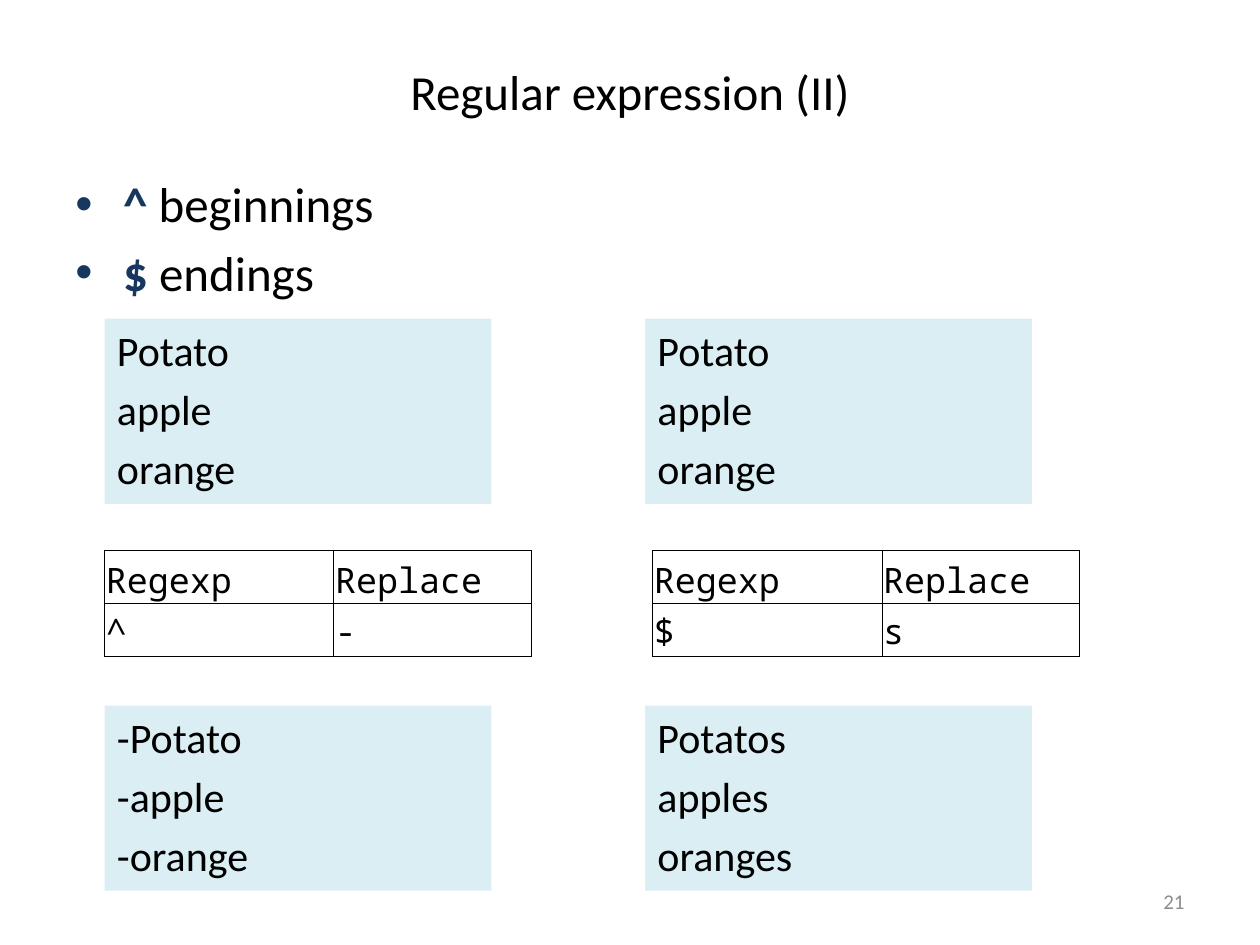
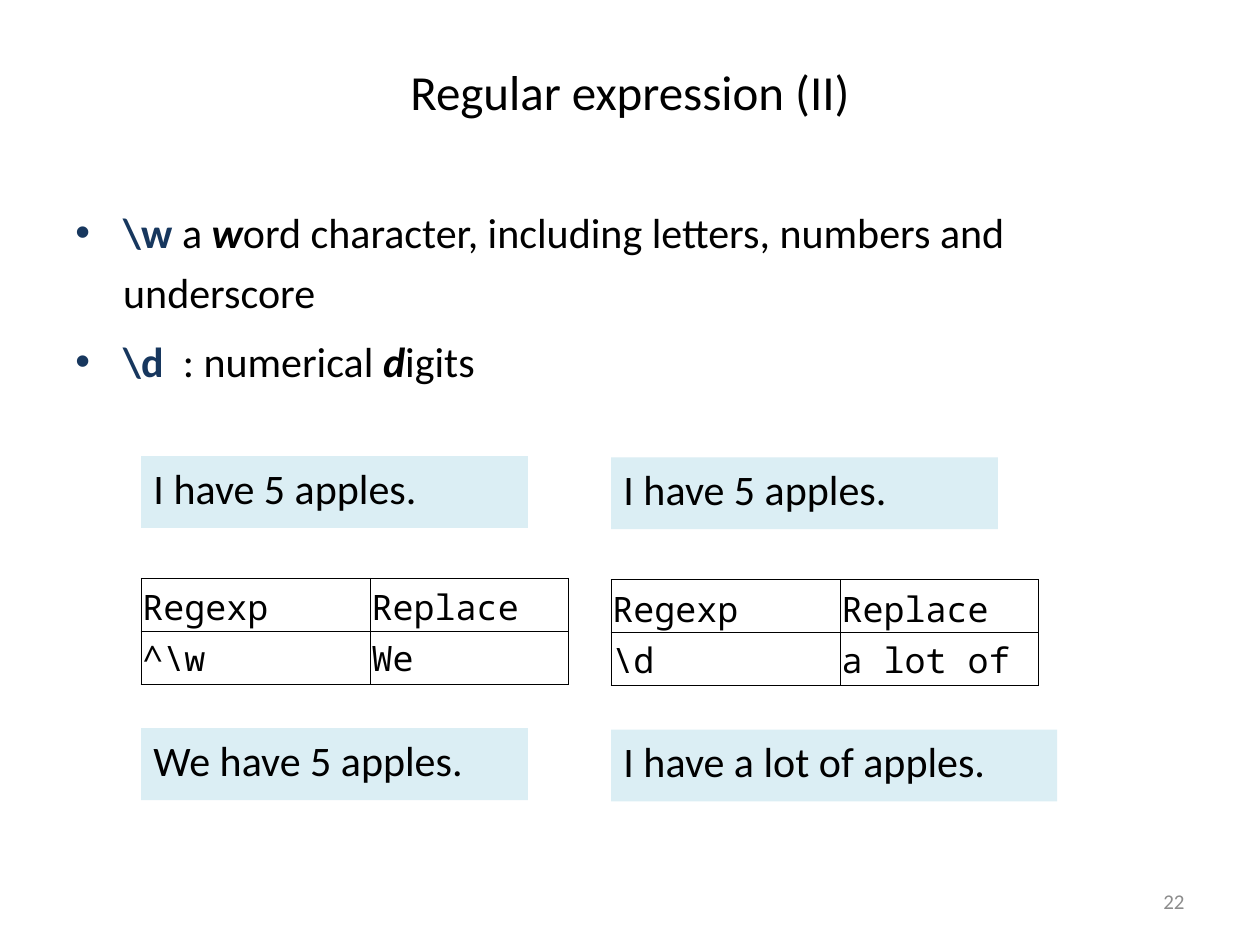
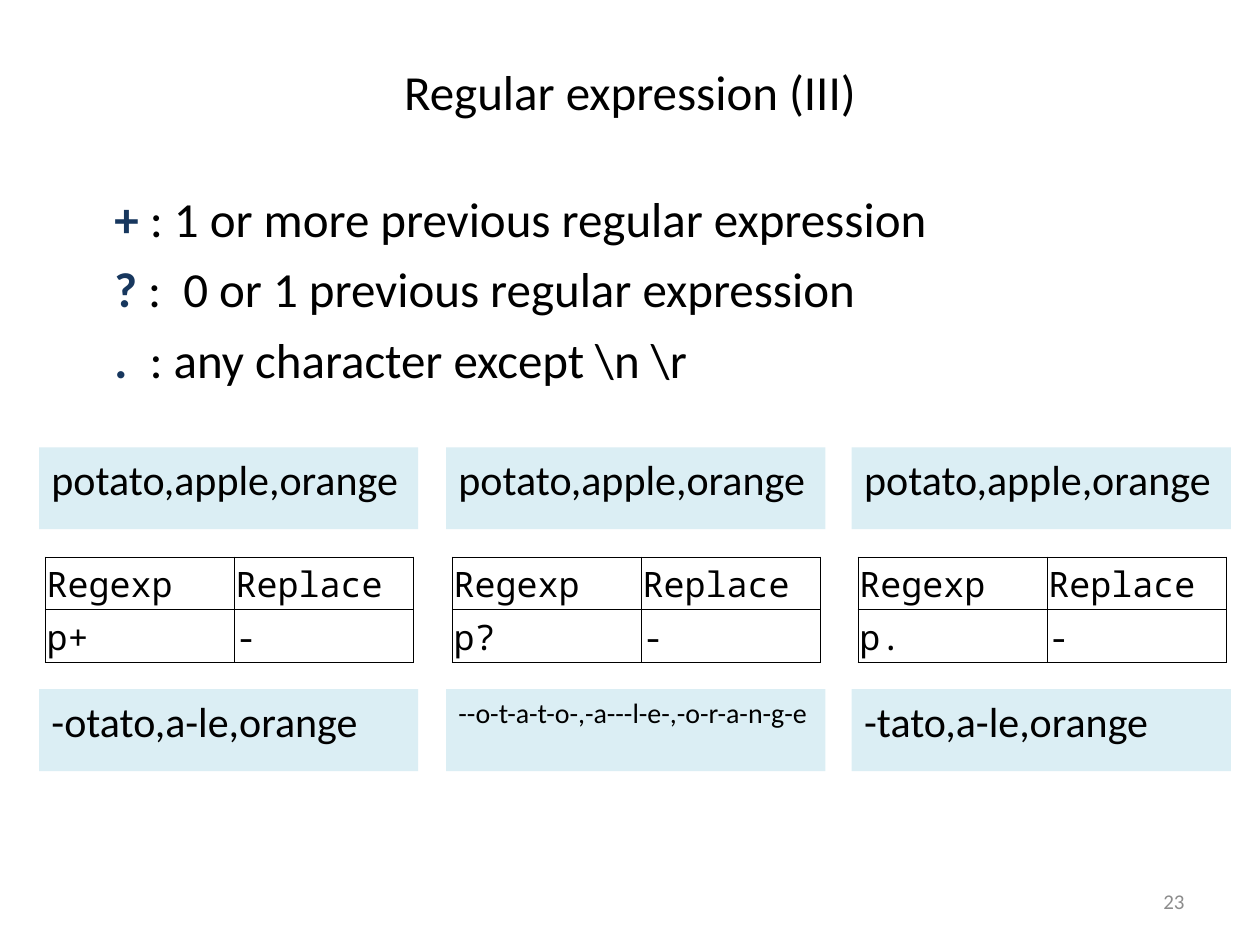
from lxml.etree import SubElement
from pptx import Presentation
from pptx.dml.color import RGBColor
from pptx.enum.shapes import MSO_SHAPE
from pptx.enum.text import MSO_ANCHOR, PP_ALIGN
from pptx.oxml.ns import qn
from pptx.util import Inches, Pt

BLACK = RGBColor(0x00, 0x00, 0x00)
NAVY = RGBColor(0x17, 0x37, 0x5E)
PALE_BLUE = RGBColor(0xDB, 0xEE, 0xF4)
GRAY = RGBColor(0x8C, 0x8C, 0x8C)
TEXT_FONT = "Calibri"
CODE_FONT = "Noto Sans Mono"

SYMBOL = {"color": NAVY, "bold": True}
STRESS = {"bold": True, "italic": True}
HEADINGS = ("Regexp", "Replace")
ROW_HEIGHT = 0.42
FIRST_NUMBER = 21

FRUITS = ["Potato", "apple", "orange"]
FRUIT_LINE = ["potato,apple,orange"]
APPLES = ["I have 5 apples."]

PAGES = [
    {
        "title": "Regular expression (II)",
        "rules": [
            [("^", SYMBOL), (" beginnings", {})],
            [("$", SYMBOL), (" endings", {})],
        ],
        "rules_at": (0.5, 1.33, 9, 1.22),
        "rules_format": {"size": 28, "before": 20, "bullet": True},
        "tops": (2.53, 4.37, 5.6),
        "box_size": (3.07, 1.47),
        "columns": (1.82, 1.57),
        "heading_anchor": MSO_ANCHOR.BOTTOM,
        "examples": [
            {"left": 0.83, "before": FRUITS, "rule": ("^", "-"),
             "after": ["-Potato", "-apple", "-orange"]},
            {"left": 5.12, "table_shift": 0.06, "before": FRUITS, "rule": ("$", "s"),
             "after": ["Potatos", "apples", "oranges"]},
        ],
    },
    {
        "title": "Regular expression (II)",
        "rules": [
            [("\\w ", SYMBOL), ("a ", {}), ("w", STRESS),
             ("ord character, including letters, numbers and underscore", {})],
            [("\\d", SYMBOL), ("  : numerical ", {}), ("d", STRESS), ("igits", {})],
        ],
        "rules_at": (0.5, 1.51, 9, 2.11),
        "rules_format": {"size": 24, "before": 20, "bullet": True, "line_spacing": 1.2},
        "tops": (3.62, 4.59, 5.78),
        "box_size": (3.07, 0.57),
        "columns": (1.82, 1.57),
        "heading_anchor": MSO_ANCHOR.BOTTOM,
        "examples": [
            {"left": 1.12, "before": APPLES, "rule": ("^\\w", "We"),
             "after": ["We have 5 apples."]},
            {"left": 4.85, "drop": 0.01, "before": APPLES, "rule": ("\\d", "a lot of"),
             "after": ["I have a lot of apples."], "after_width": 3.54},
        ],
    },
    {
        "title": "Regular expression (III)",
        "rules": [
            [("+ ", SYMBOL), (": 1 or more previous regular expression", {})],
            [("?", SYMBOL), (" :  0 or 1 previous regular expression", {})],
            [(".", SYMBOL), ("  : any character except \\n \\r", {})],
        ],
        "rules_at": (0.81, 1.35, 8.44, 1.78),
        "rules_format": {"size": 28, "line_spacing": 1.2},
        "tops": (3.55, 4.42, 5.47),
        "box_size": (3.01, 0.65),
        "columns": (1.5, 1.42),
        "heading_anchor": MSO_ANCHOR.MIDDLE,
        "examples": [
            {"left": 0.31, "table_shift": 0.05, "before": FRUIT_LINE,
             "rule": ("p+", "-"), "after": ["-otato,a-le,orange"]},
            {"left": 3.54, "table_shift": 0.05, "before": FRUIT_LINE,
             "rule": ("p?", "-"), "after": ["--o-t-a-t-o-,-a---l-e-,-o-r-a-n-g-e"],
             "after_size": 16},
            {"left": 6.76, "table_shift": 0.05, "before": FRUIT_LINE,
             "rule": ("p.", "-"), "after": ["-tato,a-le,orange"]},
        ],
    },
]


def write(frame, lines, size=24, font=TEXT_FONT, color=BLACK, align=PP_ALIGN.LEFT,
          anchor=MSO_ANCHOR.TOP, before=0, line_spacing=None, bullet=False):
    frame.word_wrap = True
    frame.vertical_anchor = anchor
    for index, line in enumerate(lines):
        para = frame.add_paragraph() if index else frame.paragraphs[0]
        para.alignment = align
        if line_spacing:
            para.line_spacing = line_spacing
        properties = para._p.get_or_add_pPr()
        if before:
            spacing = SubElement(properties, qn("a:spcBef"))
            SubElement(spacing, qn("a:spcPct"), val=str(before * 1000))
        if bullet:
            properties.set("marL", str(Inches(0.38)))
            properties.set("indent", str(-Inches(0.38)))
            SubElement(properties, qn("a:buFont"), typeface="Arial")
            SubElement(properties, qn("a:buChar"), char="•")
        for text, style in [(line, {})] if isinstance(line, str) else line:
            span = para.add_run()
            span.text = text
            span.font.name = font
            span.font.size = Pt(size)
            span.font.color.rgb = style.get("color", color)
            span.font.bold = style.get("bold", False)
            span.font.italic = style.get("italic", False)


def add_text(page, place, lines, **text_format):
    box = page.shapes.add_textbox(*map(Inches, place))
    write(box.text_frame, lines, **text_format)


def add_sample(page, place, lines, size=24):
    box = page.shapes.add_shape(MSO_SHAPE.RECTANGLE, *map(Inches, place))
    box.shadow.inherit = False
    box.fill.solid()
    box.fill.fore_color.rgb = PALE_BLUE
    box.line.fill.background()
    write(box.text_frame, lines, size=size, before=20)


def add_borders(cell):
    properties = cell._tc.get_or_add_tcPr()
    for position, side in enumerate(("lnL", "lnR", "lnT", "lnB")):
        line = SubElement(properties, qn("a:" + side), w=str(Pt(0.5)))
        fill = SubElement(line, qn("a:solidFill"))
        SubElement(fill, qn("a:srgbClr"), val=str(BLACK))
        properties.insert(position, line)


def add_rule_table(page, left, top, columns, rule, heading_anchor):
    rows = (HEADINGS, rule)
    place = (left, top, sum(columns), ROW_HEIGHT * len(rows))
    table = page.shapes.add_table(len(rows), len(columns), *map(Inches, place)).table
    table.first_row = table.horz_banding = False
    for column, width in zip(table.columns, columns):
        column.width = Inches(width)
    for row, texts, anchor in zip(table.rows, rows, (heading_anchor, MSO_ANCHOR.MIDDLE)):
        row.height = Inches(ROW_HEIGHT)
        for cell, text in zip(row.cells, texts):
            write(cell.text_frame, [text], size=20, font=CODE_FONT)
            cell.vertical_anchor = anchor
            cell.margin_left = cell.margin_right = cell.margin_top = Inches(0.01)
            cell.margin_bottom = 0
            cell.fill.background()
            add_borders(cell)


def add_example(page, content, example):
    left = example["left"]
    before_top, table_top, after_top = (top + example.get("drop", 0) for top in content["tops"])
    width, height = content["box_size"]
    add_sample(page, (left, before_top, width, height), example["before"])
    add_rule_table(page, left + example.get("table_shift", 0), table_top,
                   content["columns"], example["rule"], content["heading_anchor"])
    add_sample(page, (left, after_top, example.get("after_width", width), height),
               example["after"], size=example.get("after_size", 24))


def add_page(deck, content, number):
    page = deck.slides.add_slide(deck.slide_layouts[6])
    add_text(page, (0.5, 0.3, 9, 0.85), [content["title"]], size=28,
             align=PP_ALIGN.CENTER, anchor=MSO_ANCHOR.MIDDLE)
    add_text(page, content["rules_at"], content["rules"], **content["rules_format"])
    for example in content["examples"]:
        add_example(page, content, example)
    add_text(page, (7.17, 6.95, 2.33, 0.4), [str(number)], size=12, color=GRAY,
             align=PP_ALIGN.RIGHT, anchor=MSO_ANCHOR.MIDDLE)


def main():
    deck = Presentation()
    deck.slide_width, deck.slide_height = Inches(10), Inches(7.5)
    for number, content in enumerate(PAGES, FIRST_NUMBER):
        add_page(deck, content, number)
    deck.save("out.pptx")


if __name__ == "__main__":
    main()
